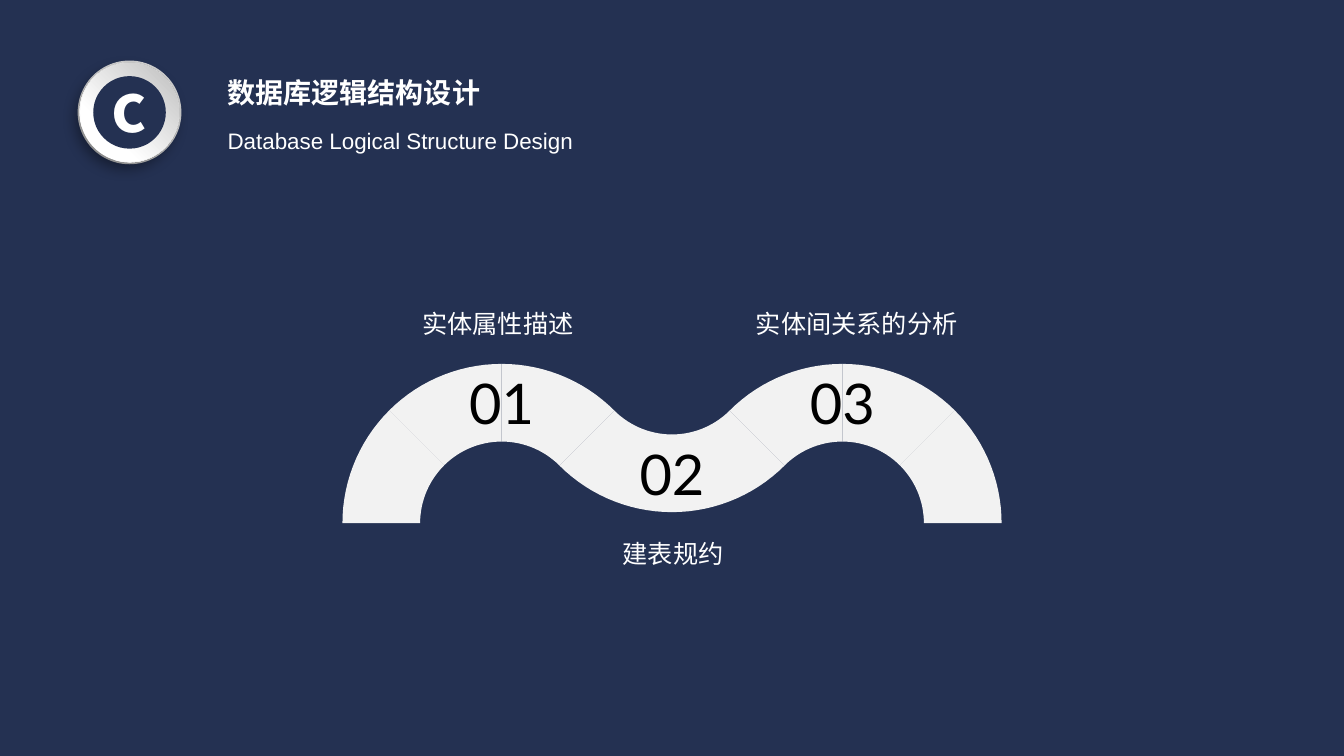
"""Builds the section slide on database logical structure design."""
from math import cos, radians, sin, sqrt

from lxml.etree import SubElement
from pptx import Presentation
from pptx.dml.color import RGBColor
from pptx.enum.shapes import MSO_SHAPE as SHAPE
from pptx.enum.text import MSO_AUTO_SIZE as AUTO, PP_ALIGN as ALIGN
from pptx.oxml import parse_xml
from pptx.oxml.ns import nsdecls, qn
from pptx.util import Inches, Pt

COLORS = {name: RGBColor.from_string(value) for name, value in {
    "navy": "243152", "white": "FFFFFF", "band": "F2F2F2", "black": "000000",
    "rim": "D3D3D3", "grey": "B8B8B8", "silver": "BFBFBF"}.items()}
CJK = "Noto Sans CJK SC"

prs = Presentation()
prs.slide_width, prs.slide_height = Inches(13.33), Inches(7.5)
col, row = prs.slide_width / 100, prs.slide_height / 100
s = prs.slides.add_slide(prs.slide_layouts[6])
s.background.fill.solid()
s.background.fill.fore_color.rgb = COLORS["navy"]


def add_text(text, x, y, w, h, size, font, color="white", bold=False,
             align=ALIGN.LEFT, spacing=None, wrap=True):
    box = s.shapes.add_textbox(*(round(v) for v in (x, y, w, h)))
    tf = box.text_frame
    tf.word_wrap, tf.auto_size = wrap, AUTO.SHAPE_TO_FIT_TEXT
    p = tf.paragraphs[0]
    p.alignment, p.line_spacing = align, spacing
    r = p.add_run()
    r.text = text
    r.font.size, r.font.name, r.font.bold = Pt(size), font, bold
    r.font.color.rgb = COLORS[color]
    SubElement(r.font._element, qn("a:ea"), typeface=font)


outer, inner = 11.85 * col, 6.07 * col
middle = (outer + inner) / 2
pitch = middle * sqrt(2)
base = 69.2 * row
arcs = [("01", -1, base, -1, (180, 225, 270)),
        ("02", 0, base - pitch, 1, (90, 45)),
        ("03", 1, base, -1, (225, 270, 315))]
num_w, num_h = 6.5 * col, 10.27 * row

for number, place, cy, side, starts in arcs:
    cx = prs.slide_width / 2 + place * pitch
    for start in starts:
        angles = [radians(a) for a in range(start, start + 46, 3)]
        edge = [(cx + outer * cos(a), cy + outer * sin(a)) for a in angles]
        edge += [(cx + inner * cos(a), cy + inner * sin(a))
                 for a in reversed(angles)]
        builder = s.shapes.build_freeform(*edge[0], scale=1.0)
        builder.add_line_segments(edge[1:], close=True)
        sp = builder.convert_to_shape()
        sp.shadow.inherit = False
        sp.fill.solid()
        sp.fill.fore_color.rgb = COLORS["band"]
        sp.line.fill.background()
    add_text(number, cx - num_w / 2, cy + side * middle - num_h / 2,
             num_w, num_h, 40, "Lato", "black", align=ALIGN.CENTER, wrap=False)

for label, x, y in [("实体属性描述", 30.68, 39.07), ("建表规约", 45.6, 69.6),
                    ("实体间关系的分析", 55.5, 39.07)]:
    add_text(label, x * col, y * row, 16.73 * col, 6 * row, 18, CJK, spacing=1.25)

add_text("数据库逻辑结构设计", 16.2 * col, 9.33 * row, 40.65 * col, 5.87 * row,
         20, CJK, bold=True)
add_text("Database Logical Structure Design", 16.2 * col, 16.13 * row,
         41.18 * col, 4.93 * row, 16, "Arial")

badge_x, badge_y = 9.64 * col, 14.87 * row
discs = [(7.72, [("rim", 0)], False),
         (7.43, [("white", 0.17), ("grey", 0.88)], True),
         (7.35, [("white", 0.29), ("silver", 0.98)], False),
         (5.4, [("navy", 0)], False)]
for size, stops, shaded in discs:
    d = size * col
    sp = s.shapes.add_shape(SHAPE.OVAL, round(badge_x - d / 2),
                            round(badge_y - d / 2), round(d), round(d))
    sp.shadow.inherit = False
    sp.line.fill.background()
    if len(stops) == 1:
        sp.fill.solid()
        sp.fill.fore_color.rgb = COLORS[stops[0][0]]
    else:
        sp.fill.gradient()
        sp.fill.gradient_angle = 45
        for stop, (color, position) in zip(sp.fill.gradient_stops, stops):
            stop.color.rgb, stop.position = COLORS[color], position
    if shaded:
        sp._element.spPr.find(qn("a:effectLst")).append(parse_xml(
            f'<a:outerShdw {nsdecls("a")} blurRad="{Pt(10)}" dist="{Pt(5)}" '
            f'dir="{123 * 60000}" rotWithShape="0"><a:srgbClr val="{COLORS["black"]}">'
            '<a:alpha val="39000"/></a:srgbClr></a:outerShdw>'))

add_text("c", badge_x - 5.22 * col, 8 * row, 10.43 * col, 12.13 * row,
         48, CJK, bold=True, align=ALIGN.CENTER)

prs.save("out.pptx")
